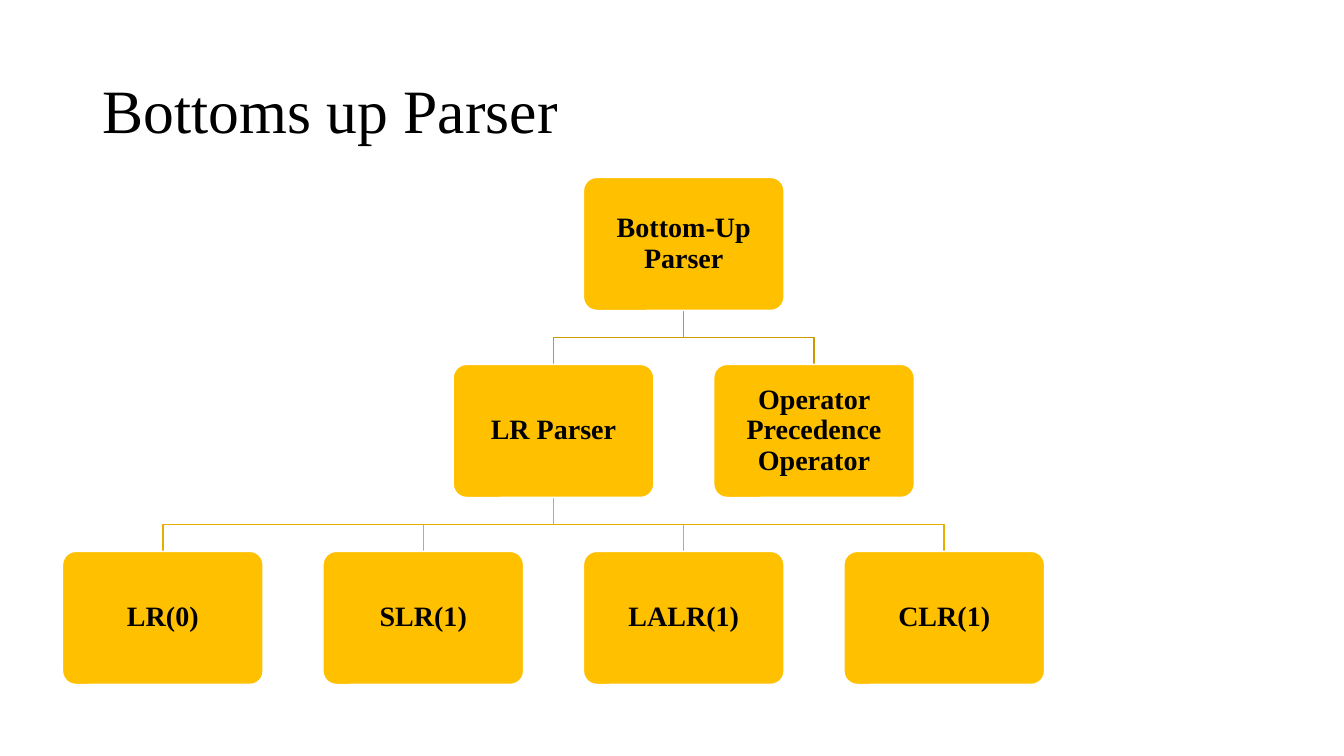
from pptx import Presentation
from pptx.dml.color import RGBColor
from pptx.enum.shapes import MSO_SHAPE
from pptx.enum.text import MSO_ANCHOR, PP_ALIGN
from pptx.util import Inches, Pt

FONT = "Times New Roman"
BLACK = RGBColor(0x00, 0x00, 0x00)
WHITE = RGBColor(0xFF, 0xFF, 0xFF)
GOLD = RGBColor(0xFF, 0xC0, 0x00)
UPPER_LINK = RGBColor(0xCC, 0x9A, 0x00)
LOWER_LINK = RGBColor(0xE7, 0xAE, 0x00)

NODE_WIDTH, NODE_HEIGHT = 1.99, 1.32
COLUMNS, ROWS = 4, 3

# name: (column, row)
NODES = {
    "Bottom-Up Parser": (2, 0),
    "LR Parser": (1.5, 1),
    "Operator Precedence Operator": (2.5, 1),
    "LR(0)": (0, 2),
    "SLR(1)": (1, 2),
    "LALR(1)": (2, 2),
    "CLR(1)": (3, 2),
}
LINKS = [
    ("Bottom-Up Parser", ["LR Parser", "Operator Precedence Operator"], UPPER_LINK),
    ("LR Parser", ["LR(0)", "SLR(1)", "LALR(1)", "CLR(1)"], LOWER_LINK),
]


def write_text(shape, text, size, bold, alignment, inset_x, inset_y):
    frame = shape.text_frame
    frame.word_wrap = True
    frame.vertical_anchor = MSO_ANCHOR.MIDDLE
    frame.margin_left = frame.margin_right = Inches(inset_x)
    frame.margin_top = frame.margin_bottom = Inches(inset_y)
    paragraph = frame.paragraphs[0]
    paragraph.alignment = alignment
    paragraph.line_spacing = 0.9
    run = paragraph.add_run()
    run.text = text
    run.font.name = FONT
    run.font.size = Pt(size)
    run.font.bold = bold
    run.font.color.rgb = BLACK


def add_title(slide, left, top, width, height):
    title = slide.shapes.add_textbox(
        Inches(left), Inches(top), Inches(width), Inches(height))
    write_text(title, "Bottoms up Parser", 44, False, PP_ALIGN.LEFT, 0.1, 0.05)


def add_node(slide, left, top, label):
    node = slide.shapes.add_shape(
        MSO_SHAPE.ROUNDED_RECTANGLE, Inches(left), Inches(top),
        Inches(NODE_WIDTH), Inches(NODE_HEIGHT))
    node.adjustments[0] = 0.1
    node.shadow.inherit = False
    node.fill.solid()
    node.fill.fore_color.rgb = GOLD
    node.line.color.rgb = WHITE
    node.line.width = Pt(1)
    write_text(node, label, 20, True, PP_ALIGN.CENTER, 0.12, 0.12)


def add_link(slide, parent, child, color):
    start_x, start_y = parent[0] + NODE_WIDTH / 2, parent[1] + NODE_HEIGHT
    end_x, end_y = child[0] + NODE_WIDTH / 2, child[1]
    middle_y = (start_y + end_y) / 2
    builder = slide.shapes.build_freeform(Inches(start_x), Inches(start_y))
    corners = [(start_x, middle_y), (end_x, middle_y), (end_x, end_y)]
    builder.add_line_segments(
        [(Inches(x), Inches(y)) for x, y in corners], close=False)
    link = builder.convert_to_shape()
    link.shadow.inherit = False
    link.fill.background()
    link.line.color.rgb = color
    link.line.width = Pt(1)


def add_tree(slide, left, top, width, height):
    column_step = (width - NODE_WIDTH) / (COLUMNS - 1)
    row_step = (height - NODE_HEIGHT) / (ROWS - 1)
    corners = {
        label: (left + column * column_step, top + row * row_step)
        for label, (column, row) in NODES.items()
    }
    for parent, children, color in LINKS:
        for child in children:
            add_link(slide, corners[parent], corners[child], color)
    for label, (node_left, node_top) in corners.items():
        add_node(slide, node_left, node_top, label)


def main():
    presentation = Presentation()
    presentation.slide_width = Inches(13.33)
    presentation.slide_height = Inches(7.5)
    slide = presentation.slides.add_slide(presentation.slide_layouts[6])
    add_title(slide, 0.92, 0.4, 11.5, 1.45)
    add_tree(slide, 0.62, 1.76, 9.74, 5.03)
    presentation.save("out.pptx")


if __name__ == "__main__":
    main()
